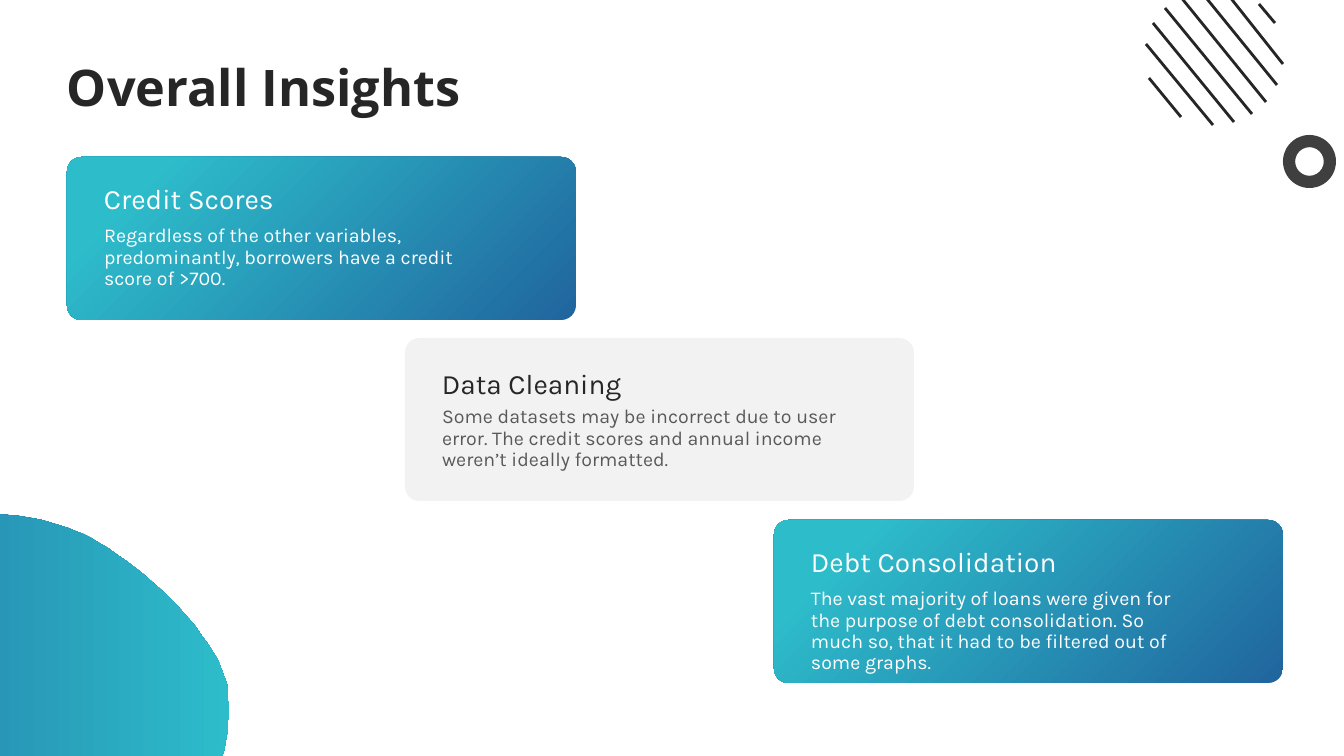
from lxml.etree import SubElement
from pptx import Presentation
from pptx.dml.color import RGBColor
from pptx.enum.shapes import MSO_CONNECTOR as Connector, MSO_SHAPE as Shape
from pptx.enum.text import MSO_ANCHOR as Anchor, MSO_AUTO_SIZE as AutoSize, PP_ALIGN as Align
from pptx.oxml.ns import qn
from pptx.util import Pt

PX = 914400 / 100.8
COLORS = {
    "ink": "262626", "grey": "595959", "ring": "3F3F3F", "pale": "F2F2F2",
    "white": "FFFFFF", "navy": "20659E", "blue": "2791B4", "teal": "2DBCCA",
}
TITLE = "Overall Insights"
CARDS = [
    dict(at=(67, 157), head_drop=24, body_width=385, gradient=True,
         head="Credit Scores", head_color="white", body_color="white",
         body="Regardless of the other variables, predominantly, borrowers "
              "have a credit score of >700."),
    dict(at=(405, 338), head_drop=28, body_width=408, gradient=False,
         head="Data Cleaning", head_color="ink", body_color="grey",
         body="Some datasets may be incorrect due to user error. The credit "
              "scores and annual income weren’t ideally formatted."),
    dict(at=(774, 520), head_drop=24, body_width=385, gradient=True,
         head="Debt Consolidation", head_color="white", body_color="white",
         body="The vast majority of loans were given for the purpose of debt "
              "consolidation. So much so, that it had to be filtered out of "
              "some graphs."),
]
CARD_SIZE = (509, 163)
CARD_STOPS = [(0, "navy"), (85, "teal"), (100, "teal")]
BLOB_STOPS = [(0, "navy"), (33, "blue"), (100, "teal")]
BLOB_SHOULDER = [(68, 528), (125, 548), (221, 633), (228, 691)]
BLOB_SIDE = [(228, 691), (241, 800), (143, 845), (146, 872)]
BLOB_CORNERS = [(-173, 872), (-173, 577)]
BLOB_CREST = [(-173, 577), (-78, 540), (-40, 490), (68, 528)]
STRIPES = [
    (1149, 78, 1181, 117), (1146, 44, 1213, 125), (1153, 23, 1234, 122),
    (1165, 8, 1252, 114), (1180, -4, 1266, 102), (1199, -11, 1277, 85),
    (1222, -13, 1283, 64), (1259, 4, 1275, 23),
]


def px(*lengths):
    return [round(length * PX) for length in lengths]


def color(name):
    return RGBColor.from_string(COLORS[name])


def fill_solid(shape, name):
    shape.shadow.inherit = False
    shape.line.fill.background()
    shape.fill.solid()
    shape.fill.fore_color.rgb = color(name)


def fill_gradient(shape, stops, angle):
    shape.shadow.inherit = False
    shape.line.fill.background()
    shape.fill.gradient()
    gradient = shape.element.spPr.find(qn("a:gradFill"))
    stop_list = gradient.find(qn("a:gsLst"))
    for old in list(stop_list):
        stop_list.remove(old)
    for percent, name in stops:
        stop = SubElement(stop_list, qn("a:gs"), pos=str(percent * 1000))
        SubElement(stop, qn("a:srgbClr"), val=COLORS[name])
    gradient.find(qn("a:lin")).set("ang", str(angle * 60000))


def write(box, text, size, name, font="Karla", bold=False, anchor=Anchor.TOP,
          inset=0, spacing=1.0):
    frame = box.text_frame
    frame.word_wrap = True
    frame.auto_size = AutoSize.NONE
    frame.vertical_anchor = anchor
    frame.margin_left = frame.margin_right = 0
    frame.margin_top, frame.margin_bottom = px(inset, inset)
    para = frame.paragraphs[0]
    para.alignment = Align.LEFT
    para.line_spacing = spacing
    span = para.add_run()
    span.text = text
    span.font.name, span.font.size, span.font.bold = font, Pt(size), bold
    span.font.color.rgb = color(name)


def curve(points, steps=24):
    for step in range(1, steps + 1):
        t = step / steps
        weights = ((1 - t) ** 3, 3 * t * (1 - t) ** 2, 3 * t * t * (1 - t), t ** 3)
        yield tuple(sum(w * point[axis] for w, point in zip(weights, points))
                    for axis in (0, 1))


def add_blob(page):
    outline = [*curve(BLOB_SHOULDER), *curve(BLOB_SIDE), *BLOB_CORNERS, *curve(BLOB_CREST)]
    builder = page.shapes.build_freeform(*BLOB_SHOULDER[0], scale=PX)
    builder.add_line_segments(outline, close=True)
    fill_gradient(builder.convert_to_shape(), BLOB_STOPS, 0)


def add_stripe(page, ends):
    stripe = page.shapes.add_connector(Connector.STRAIGHT, *px(*ends))
    stripe.line.color.rgb = color("ink")
    stripe.line.width = Pt(2)
    SubElement(stripe.element.spPr, qn("a:effectLst"))


def add_card(page, card):
    left, top = card["at"]
    panel = page.shapes.add_shape(Shape.ROUNDED_RECTANGLE, *px(left, top, *CARD_SIZE))
    panel.adjustments[0] = 0.09
    if card["gradient"]:
        fill_gradient(panel, CARD_STOPS, 225)
    else:
        fill_solid(panel, "pale")
    head = page.shapes.add_textbox(*px(left + 37, top + card["head_drop"], 270, 34))
    write(head, card["head"], 20, card["head_color"], anchor=Anchor.BOTTOM)
    body = page.shapes.add_textbox(*px(left + 37, top + 64, card["body_width"], 75))
    write(body, card["body"], 14, card["body_color"], inset=5, spacing=0.9)


def main():
    deck = Presentation()
    deck.slide_width, deck.slide_height = px(1344, 756)
    page = deck.slides.add_slide(deck.slide_layouts[5])
    title = page.shapes.title
    title.left, title.top, title.width, title.height = px(67, 47, 1210, 79)
    write(title, TITLE, 36, "ink", font="Open Sans", bold=True,
          anchor=Anchor.MIDDLE, inset=7)
    add_blob(page)
    for ends in STRIPES:
        add_stripe(page, ends)
    ring = page.shapes.add_shape(Shape.DONUT, *px(1283, 135, 53, 53))
    ring.adjustments[0] = 0.23
    fill_solid(ring, "ring")
    for card in CARDS:
        add_card(page, card)
    deck.save("out.pptx")


if __name__ == "__main__":
    main()
